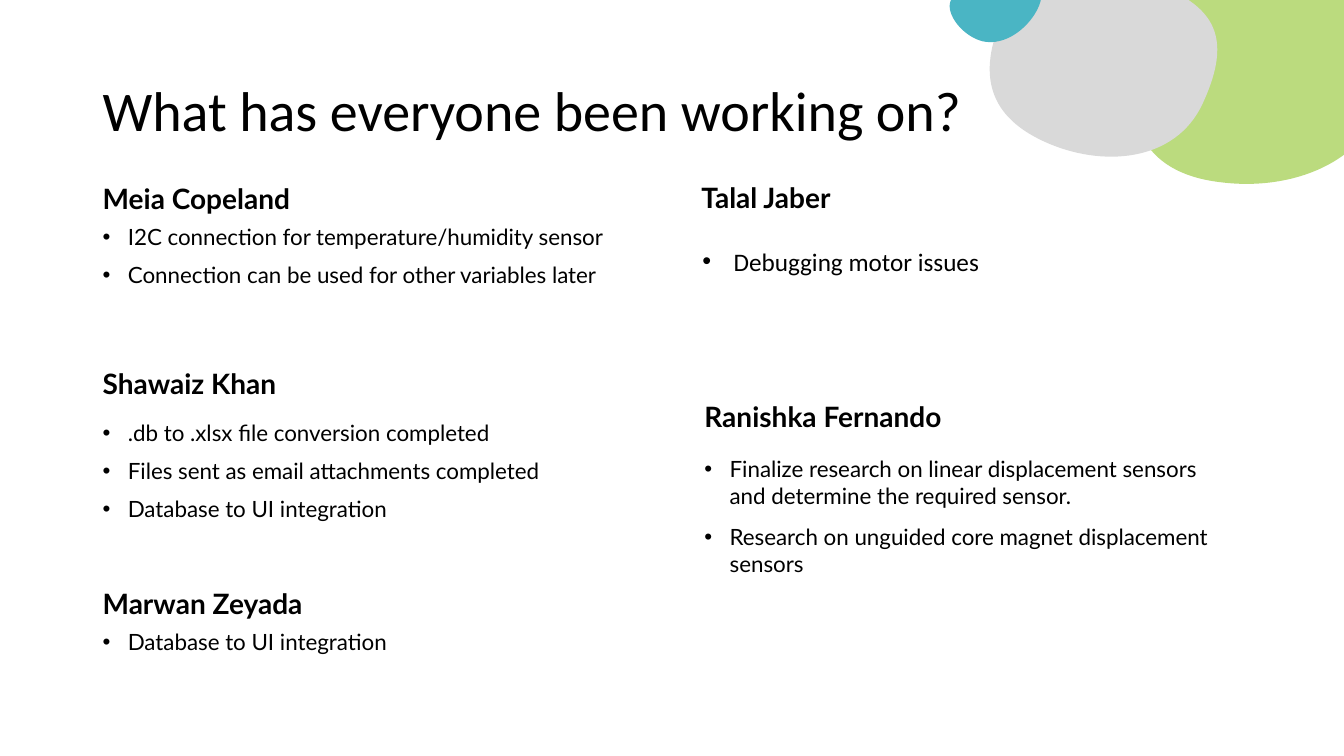
from math import cos, radians, sin

from lxml.etree import SubElement
from pptx import Presentation
from pptx.dml.color import RGBColor
from pptx.enum.text import MSO_ANCHOR as Anchor
from pptx.oxml.ns import qn
from pptx.util import Inches, Pt

BLACK = RGBColor(0x00, 0x00, 0x00)
GREEN = RGBColor(0xBB, 0xDB, 0x7E)
GREY = RGBColor(0xD9, 0xD9, 0xD9)
TEAL = RGBColor(0x4A, 0xB5, 0xC4)

BLOB_TURN = 173.7
NAME_WIDTH, NAME_HEIGHT = 5.64, 0.6

# Each blob: colour, box before turning, start point,
# then cubic curves (two controls and an end) as they lie on the slide
BLOBS = [
    (GREEN, (11.2, -0.35, 2.6, 2.17), (13.11, -0.32), [
        ((12.37, -0.47), (11.31, -0.23), (11.23, 0.52)),
        ((11.14, 1.27), (11.38, 1.73), (12.13, 1.81)),
        ((12.88, 1.9), (13.67, 1.56), (13.76, 0.81)),
        ((13.84, 0.06), (13.6, -0.22), (13.11, -0.32))]),
    (GREY, (9.81, -0.33, 2.28, 1.9), (11.71, -0.05), [
        ((11.16, -0.38), (10.24, -0.47), (9.97, 0.11)),
        ((9.7, 0.69), (9.77, 1.13), (10.35, 1.4)),
        ((10.93, 1.67), (11.66, 1.61), (11.93, 1.03)),
        ((12.2, 0.45), (12.08, 0.16), (11.71, -0.05))]),
    (TEAL, (9.43, -0.2, 0.92, 0.61), (9.43, 0.01), [
        ((9.38, 0.14), (9.55, 0.36), (9.75, 0.41)),
        ((10.09, 0.48), (10.39, 0.05), (10.32, -0.09)),
        ((10.24, -0.27), (9.5, -0.22), (9.43, 0.01))]),
]

LATO_BODY = dict(font="Lato", size=16, indent=0.25, before=10, spacing=0.9)
LOOSE_BODY = dict(LATO_BODY, spacing=None)
CALIBRI_BODY = dict(font="Calibri", size=18, indent=0.31)

# Each member: name, left and top, then the tasks: shift from the lower left
# corner of the name, width and height, style, lines
MEMBERS = [
    ("Meia Copeland", (0.92, 1.59), (0, 0), (5.24, 1.82), LATO_BODY,
     ["I2C connection for temperature/humidity sensor",
      "Connection can be used for other variables later"]),
    ("Shawaiz Khan", (0.92, 3.42), (0, 0.12), (5.64, 1.26), LATO_BODY,
     [".db to .xlsx file conversion completed",
      "Files sent as email attachments completed",
      "Database to UI integration"]),
    ("Marwan Zeyada", (0.92, 5.61), (0, 0), (5.64, 1.26), LATO_BODY,
     ["Database to UI integration"]),
    ("Talal Jaber", (6.86, 1.58), (0.01, 0.21), (5.38, 0.4), CALIBRI_BODY,
     ["Debugging motor issues"]),
    ("Ranishka Fernando", (6.89, 3.75), (0, 0.12), (5.41, 1.95), LOOSE_BODY,
     ["Finalize research on linear displacement sensors and determine the required sensor.",
      "Research on unguided core magnet displacement sensors"]),
]


def turn_back(point, box):
    """Place of a slide point inside the box before the box is turned, in EMU."""
    left, top, width, height = box
    x, y = point[0] - left - width / 2, point[1] - top - height / 2
    cosine, sine = cos(radians(BLOB_TURN)), sin(radians(BLOB_TURN))
    return (Inches(x * cosine + y * sine + width / 2),
            Inches(y * cosine - x * sine + height / 2))


def add_outline_step(outline, tag, points=()):
    step = SubElement(outline, qn(tag))
    for x, y in points:
        SubElement(step, qn("a:pt"), x=str(x), y=str(y))


def add_blob(slide, color, box, start, curves):
    local_start = turn_back(start, box)
    local_curves = [[turn_back(point, box) for point in curve] for curve in curves]
    builder = slide.shapes.build_freeform(*local_start)
    builder.add_line_segments([curve[-1] for curve in local_curves], close=True)
    shape = builder.convert_to_shape()
    shape.left, shape.top, shape.width, shape.height = [Inches(length) for length in box]
    shape.rotation = BLOB_TURN
    # Round the straight outline into curves
    outline = next(shape._element.iter(qn("a:path")))
    for step in list(outline):
        outline.remove(step)
    outline.set("w", str(shape.width))
    outline.set("h", str(shape.height))
    add_outline_step(outline, "a:moveTo", [local_start])
    for curve in local_curves:
        add_outline_step(outline, "a:cubicBezTo", curve)
    add_outline_step(outline, "a:close")
    # Paint
    shape.shadow.inherit = False
    shape.fill.solid()
    shape.fill.fore_color.rgb = color
    shape.line.fill.background()


def add_bullet(paragraph, indent):
    properties = paragraph._p.get_or_add_pPr()
    properties.set("marL", str(Inches(indent)))
    properties.set("indent", str(-Inches(indent)))
    SubElement(properties, qn("a:buFont"), typeface="Arial")
    SubElement(properties, qn("a:buChar"), char="•")


def add_text(slide, box, lines, font, size, bold=False, anchor=Anchor.TOP,
             spacing=None, before=0, indent=None):
    text_box = slide.shapes.add_textbox(*[Inches(length) for length in box])
    frame = text_box.text_frame
    frame.word_wrap = True
    frame.vertical_anchor = anchor
    for index, line in enumerate(lines):
        paragraph = frame.add_paragraph() if index else frame.paragraphs[0]
        paragraph.space_before = Pt(before)
        if spacing:
            paragraph.line_spacing = spacing
        if indent:
            add_bullet(paragraph, indent)
        run = paragraph.add_run()
        run.text = line
        run.font.name = font
        run.font.size = Pt(size)
        run.font.bold = bold
        run.font.color.rgb = BLACK


def add_title(slide, box):
    add_text(slide, box, ["What has everyone been working on?"],
             "Calibri", 40, anchor=Anchor.MIDDLE, spacing=0.9)


def add_member(slide, name, corner, shift, size, style, tasks):
    left, top = corner
    # Name
    add_text(slide, (left, top, NAME_WIDTH, NAME_HEIGHT), [name], "Lato", 20,
             bold=True, anchor=Anchor.BOTTOM, spacing=0.9, before=10)
    # Tasks
    box = (left + shift[0], top + NAME_HEIGHT + shift[1], *size)
    add_text(slide, box, tasks, **style)


def main():
    presentation = Presentation()
    presentation.slide_width = Inches(40 / 3)
    presentation.slide_height = Inches(7.5)
    slide = presentation.slides.add_slide(presentation.slide_layouts[6])
    # Corner decoration
    for blob in BLOBS:
        add_blob(slide, *blob)
    # Title and team updates
    add_title(slide, (0.92, 0.4, 11.5, 1.45))
    for member in MEMBERS:
        add_member(slide, *member)
    presentation.save("out.pptx")


if __name__ == "__main__":
    main()
